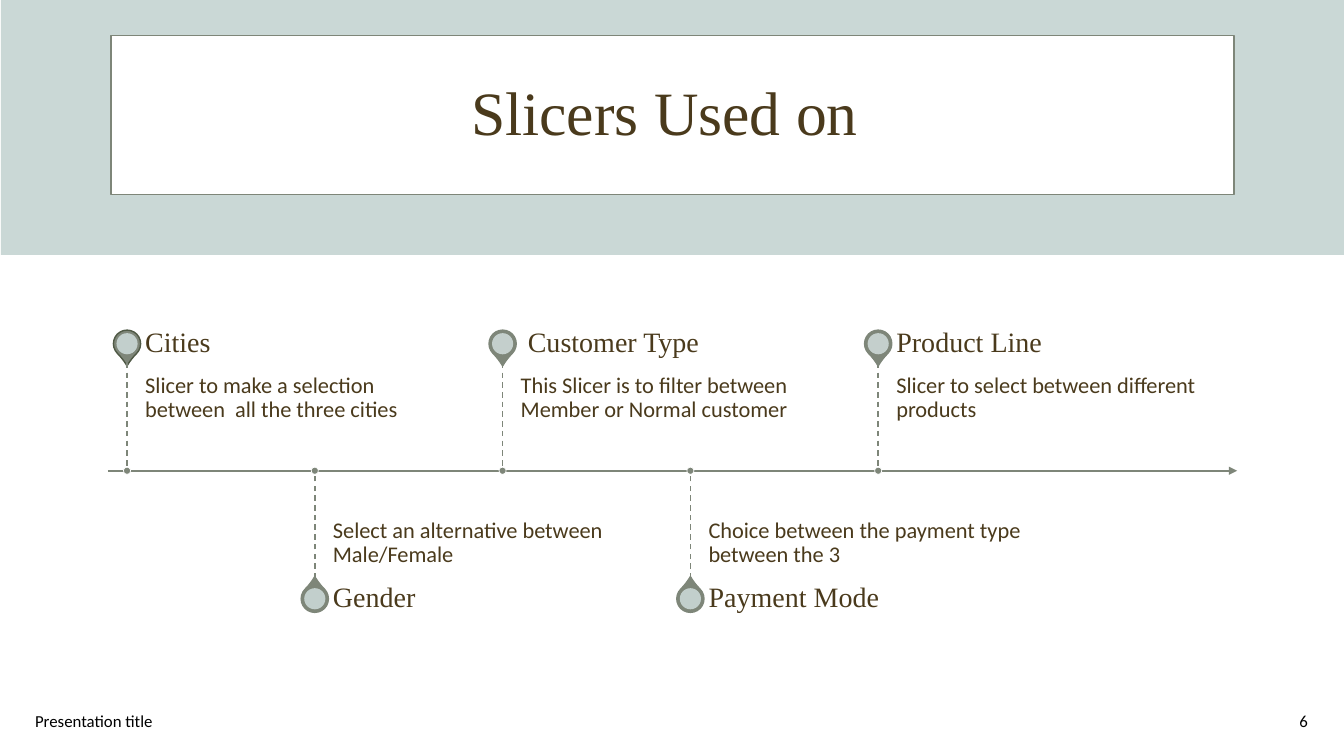
"""Build the slicer timeline slide."""
from dataclasses import dataclass

from lxml.etree import SubElement
from pptx import Presentation
from pptx.dml.color import RGBColor as Rgb
from pptx.enum.dml import MSO_LINE_DASH_STYLE as Dash
from pptx.enum.shapes import MSO_CONNECTOR as Connector, MSO_SHAPE as Preset
from pptx.enum.text import MSO_ANCHOR as Anchor, PP_ALIGN as Align
from pptx.oxml.ns import qn
from pptx.shapes.autoshape import Shape
from pptx.shapes.connector import Connector as Line
from pptx.slide import Slide
from pptx.util import Inches, Pt

Box = tuple[float, float, float, float]


@dataclass(frozen=True)
class Theme:
    """Colours, fonts and type sizes of the slide."""
    sage: str = "7E8679"
    moss: str = "4F5945"
    mist: str = "CAD8D6"
    pale_mist: str = "CCD8D6"
    white: str = "FFFFFF"
    brown: str = "4A3A1C"
    black: str = "000000"
    serif: str = "Times New Roman"
    sans: str = "Calibri"
    title_size: int = 44
    heading_size: int = 20
    body_size: int = 16
    footer_size: int = 12


THEME = Theme()


@dataclass(frozen=True)
class Slicer:
    """One stop on the timeline."""
    heading: str
    body: str
    above: bool = True
    heading_indent: float = 0
    pin_line: str = THEME.sage
    pin_hole: str = THEME.mist


SLICERS = [
    Slicer("Cities", "Slicer to make a selection between  all the three cities",
           pin_line=THEME.moss),
    Slicer("Gender", "Select an alternative between Male/Female", above=False),
    Slicer("Customer Type", "This Slicer is to filter between Member or Normal customer",
           heading_indent=0.07, pin_hole=THEME.pale_mist),
    Slicer("Payment Mode", "Choice between the payment type between the 3", above=False),
    Slicer("Product Line", "Slicer to select between different products",
           pin_hole=THEME.pale_mist),
]

AXIS_Y = 4.67
AXIS_START, AXIS_END = 1.07, 12.27
FIRST_X, LAST_X = 1.26, 8.71
STEP = (LAST_X - FIRST_X) / (len(SLICERS) - 1)
STEM = 1.07
TEXT_GAP, TEXT_WIDTH = 0.18, 3.1
HEADING_HEIGHT = 0.38
PIN_SIZE, HOLE_SIZE, DOT_SIZE = 0.27, 0.21, 0.07


def add_text(slide: Slide, text: str, box: Box, *, size: int, font: str = THEME.sans,
             color: str = THEME.brown, align: Align = Align.LEFT,
             anchor: Anchor = Anchor.MIDDLE, spacing: float = 1,
             insets: Box = (0.1, 0.05, 0.1, 0.05)) -> None:
    """Add a wrapped text box with the given format."""
    frame = slide.shapes.add_textbox(*map(Inches, box)).text_frame
    frame.word_wrap = True
    frame.vertical_anchor = anchor
    (frame.margin_left, frame.margin_top,
     frame.margin_right, frame.margin_bottom) = map(Inches, insets)
    paragraph = frame.paragraphs[0]
    paragraph.alignment = align
    paragraph.line_spacing = spacing
    run = paragraph.add_run()
    run.text = text
    run.font.size = Pt(size)
    run.font.name = font
    run.font.color.rgb = Rgb.from_string(color)


def add_figure(slide: Slide, preset: Preset, box: Box, fill: str,
               line: str | None = None, line_width: float = 1) -> Shape:
    """Add a filled preset shape, outlined when a line colour is given."""
    figure = slide.shapes.add_shape(preset, *map(Inches, box))
    figure.shadow.inherit = False
    figure.fill.solid()
    figure.fill.fore_color.rgb = Rgb.from_string(fill)
    if line is None:
        figure.line.fill.background()
    else:
        figure.line.color.rgb = Rgb.from_string(line)
        figure.line.width = Pt(line_width)
    return figure


def centered(x: float, y: float, size: float) -> Box:
    """Return a square box around a point."""
    return x - size / 2, y - size / 2, size, size


def add_line(slide: Slide, start: tuple[float, float], end: tuple[float, float],
             width: float) -> Line:
    """Add a straight sage line without a shadow."""
    line = slide.shapes.add_connector(Connector.STRAIGHT, *map(Inches, start + end))
    line.line.color.rgb = Rgb.from_string(THEME.sage)
    line.line.width = Pt(width)
    SubElement(line._element.spPr, qn("a:effectLst"))
    return line


def add_header(slide: Slide) -> None:
    """Add the title on its band and panel."""
    add_figure(slide, Preset.RECTANGLE, (0.01, 0, 13.32, 2.53), THEME.mist)
    add_figure(slide, Preset.RECTANGLE, (1.1, 0.35, 11.14, 1.58), THEME.white, THEME.sage)
    add_text(slide, "Slicers Used on ", (0.42, 0.42, 12.5, 1.45), size=THEME.title_size,
             font=THEME.serif, align=Align.CENTER, spacing=0.9)


def add_footer(slide: Slide) -> None:
    """Add the footer label and page number."""
    add_text(slide, "Presentation title", (0.25, 6.95, 4.5, 0.4),
             size=THEME.footer_size, color=THEME.black)
    add_text(slide, "6", (10.07, 6.95, 3, 0.4), size=THEME.footer_size,
             color=THEME.black, align=Align.RIGHT)


def add_axis(slide: Slide) -> None:
    """Add the timeline arrow."""
    axis = add_line(slide, (AXIS_START, AXIS_Y), (AXIS_END, AXIS_Y), 1.5)
    SubElement(axis.line._get_or_add_ln(), qn("a:tailEnd"), type="triangle")


def add_pin(slide: Slide, slicer: Slicer, x: float, y: float) -> None:
    """Add a map pin that points at the axis."""
    drop = add_figure(slide, Preset.TEAR, centered(x, y, PIN_SIZE), THEME.sage,
                      slicer.pin_line)
    drop.adjustments[0] = 1.15
    drop.rotation = 135 if slicer.above else 315
    hole = add_figure(slide, Preset.OVAL, centered(x, y, HOLE_SIZE), slicer.pin_hole)
    tint = hole._element.spPr.find(f"{qn('a:solidFill')}/{qn('a:srgbClr')}")
    SubElement(tint, qn("a:alpha"), val="90000")


def add_slicer(slide: Slide, slicer: Slicer, x: float) -> None:
    """Add one stop with its pin, texts, stem and dot."""
    text_x = x + TEXT_GAP
    if slicer.above:
        pin_y, heading_y, body_y = 3.41, 3.22, AXIS_Y - STEM
        stem_end = AXIS_Y - STEM
        body_anchor, body_insets = Anchor.TOP, (0, 0.11, 0.11, 0.17)
    else:
        pin_y, heading_y, body_y = 5.94, 5.75, AXIS_Y
        stem_end = AXIS_Y + STEM
        body_anchor, body_insets = Anchor.BOTTOM, (0, 0.17, 0, 0.11)
    add_pin(slide, slicer, x, pin_y)
    add_text(slide, slicer.body, (text_x, body_y, TEXT_WIDTH, STEM),
             size=THEME.body_size, anchor=body_anchor, spacing=0.9, insets=body_insets)
    add_text(slide, slicer.heading, (text_x, heading_y, TEXT_WIDTH, HEADING_HEIGHT),
             size=THEME.heading_size, font=THEME.serif, spacing=0.9,
             insets=(slicer.heading_indent, 0, 0.14, 0))
    stem = add_line(slide, (x, stem_end), (x, AXIS_Y), 1)
    stem.line.dash_style = Dash.DASH
    add_figure(slide, Preset.OVAL, centered(x, AXIS_Y, DOT_SIZE), THEME.sage,
               THEME.white, 0.5)


def main() -> None:
    """Build and save the presentation."""
    deck = Presentation()
    deck.slide_width, deck.slide_height = Inches(13.33), Inches(7.5)
    slide = deck.slides.add_slide(deck.slide_layouts[6])
    add_header(slide)
    add_footer(slide)
    add_axis(slide)
    for index, slicer in enumerate(SLICERS):
        add_slicer(slide, slicer, FIRST_X + index * STEP)
    deck.save("out.pptx")


if __name__ == "__main__":
    main()
